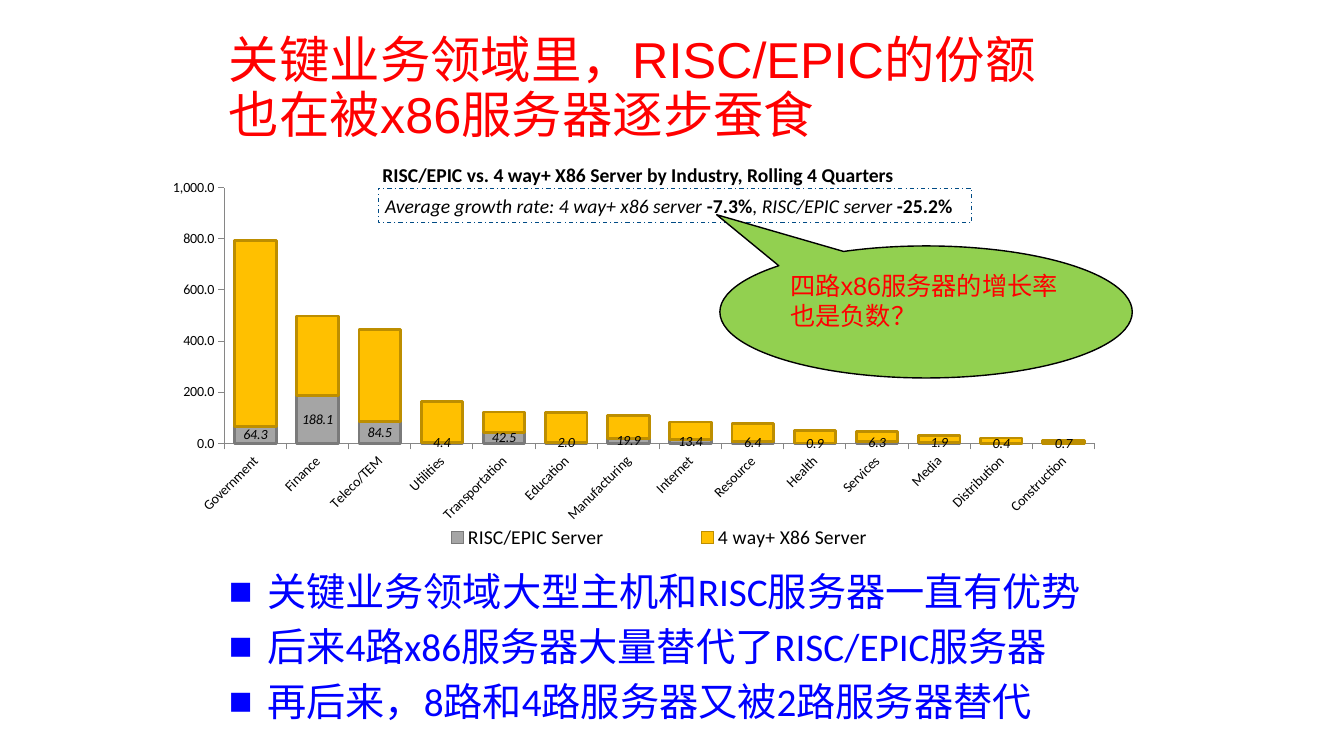
from lxml import etree
from pptx import Presentation
from pptx.chart.data import CategoryChartData
from pptx.dml.color import RGBColor
from pptx.enum.chart import XL_CHART_TYPE, XL_LABEL_POSITION, XL_LEGEND_POSITION, XL_TICK_MARK
from pptx.enum.dml import MSO_LINE
from pptx.enum.shapes import MSO_SHAPE
from pptx.enum.text import MSO_ANCHOR, MSO_AUTO_SIZE, PP_ALIGN
from pptx.oxml.ns import qn
from pptx.util import Inches, Pt

STACKED = XL_CHART_TYPE.COLUMN_STACKED
LEFT, CENTER = PP_ALIGN.LEFT, PP_ALIGN.CENTER
TOP, MIDDLE = MSO_ANCHOR.TOP, MSO_ANCHOR.MIDDLE
COLORS = {
    "red": "FF0000", "blue": "0000FF", "black": "000000", "green": "92D050",
    "navy": "004B85", "axis": "868686",
    "gray": "A5A5A5", "gray edge": "7A7A7A", "gold": "FFC000", "gold edge": "BD8E00",
}
INDUSTRIES = [
    "Government", "Finance", "Teleco/TEM", "Utilities", "Transportation", "Education",
    "Manufacturing", "Internet", "Resource", "Health", "Services", "Media",
    "Distribution", "Construction",
]
SERVERS = [
    ("RISC/EPIC Server", "gray",
     [64.3, 188.1, 84.5, 4.4, 42.5, 2, 19.9, 13.4, 6.4, 0.9, 6.3, 1.9, 0.4, 0.7]),
    ("4 way+ X86 Server", "gold",
     [730, 310, 360, 160, 80, 120, 90, 70, 70, 50, 40, 30, 20, 10]),
]
GROWTH = [
    ("Average growth rate: 4 way+ x86 server ", {"italic": True}),
    ("-7.3%", {"bold": True}),
    (", RISC/EPIC server ", {"italic": True}),
    ("-25.2%", {"bold": True}),
]
BULLETS = [
    "关键业务领域大型主机和RISC服务器一直有优势",
    "后来4路x86服务器大量替代了RISC/EPIC服务器",
    "再后来，8路和4路服务器又被2路服务器替代",
]


def color(name):
    return RGBColor.from_string(COLORS[name])


def place(shape, left, top, width, height):
    shape.left, shape.top = Inches(left), Inches(top)
    shape.width, shape.height = Inches(width), Inches(height)


def set_font(font, size, name="Calibri", color_name="black", bold=False, italic=False):
    font.size, font.name = Pt(size), name
    font.bold, font.italic = bold, italic
    font.color.rgb = color(color_name)


def set_line(line, color_name, width):
    line.color.rgb = color(color_name)
    line.width = Pt(width)


def write(shape, paragraphs, align=LEFT, anchor=TOP, indent=0, bullet=None,
          space_before=0, line_spacing=None, **font):
    """Fill a shape; each paragraph is a string or a list of (text, font changes)."""
    frame = shape.text_frame
    frame.word_wrap, frame.auto_size = True, MSO_AUTO_SIZE.NONE
    frame.vertical_anchor = anchor
    for index, content in enumerate(paragraphs):
        paragraph = frame.add_paragraph() if index else frame.paragraphs[0]
        paragraph.alignment = align
        paragraph.space_before = Pt(space_before if index else 0)
        if line_spacing:
            paragraph.line_spacing = line_spacing
        properties = paragraph._p.get_or_add_pPr()
        properties.set("marL", str(Inches(indent)))
        properties.set("indent", str(-Inches(indent)))
        if bullet:
            etree.SubElement(properties, qn("a:buFont")).set("typeface", "Arial")
            etree.SubElement(properties, qn("a:buChar")).set("char", bullet)
        pieces = [(content, {})] if isinstance(content, str) else content
        for text, changes in pieces:
            for number, line in enumerate(text.split("\n")):
                if number:
                    paragraph.add_line_break()
                run = paragraph.add_run()
                run.text = line
                set_font(run.font, **{**font, **changes})


def add_box(slide, kind, box, line_color, line_width, fill=None):
    shape = slide.shapes.add_shape(kind, *map(Inches, box))
    shape.shadow.inherit = False
    if fill:
        shape.fill.solid()
        shape.fill.fore_color.rgb = color(fill)
    else:
        shape.fill.background()
    set_line(shape.line, line_color, line_width)
    return shape


def set_layout(element, x, y, width, height, inner=False):
    """Fix the place of a chart part as fractions of the chart."""
    layout = element.find(qn("c:layout"))
    if layout is None:
        layout = etree.Element(qn("c:layout"))
        element.insert(1 if element.find(qn("c:legendPos")) is not None else 0, layout)
    manual = etree.SubElement(layout, qn("c:manualLayout"))
    settings = [("layoutTarget", "inner")] if inner else []
    settings += [("xMode", "edge"), ("yMode", "edge"),
                 ("x", x), ("y", y), ("w", width), ("h", height)]
    for tag, value in settings:
        etree.SubElement(manual, qn("c:" + tag)).set("val", str(value))


def format_axis(axis):
    axis.has_major_gridlines = False
    axis.major_tick_mark = XL_TICK_MARK.OUTSIDE
    axis.minor_tick_mark = XL_TICK_MARK.NONE
    set_line(axis.format.line, "axis", 0.75)
    set_font(axis.tick_labels.font, 10)


def add_server_chart(slide):
    data = CategoryChartData()
    data.categories = INDUSTRIES
    for name, _, values in SERVERS:
        data.add_series(name, values)
    box = map(Inches, (1.69, 1.04, 9.9, 4.57))
    chart = slide.shapes.add_chart(STACKED, *box, data).chart
    chart.has_title = False
    set_font(chart.font, 10)

    plot = chart.plots[0]
    plot.gap_width, plot.overlap, plot.vary_by_categories = 50, 100, False
    for series, (_, fill, _) in zip(plot.series, SERVERS):
        series.format.fill.solid()
        series.format.fill.fore_color.rgb = color(fill)
        set_line(series.format.line, fill + " edge", 2)
    labels = plot.series[0].data_labels
    labels.show_value = True
    labels.number_format, labels.number_format_is_linked = "#,##0.0", False
    labels.position = XL_LABEL_POSITION.CENTER
    set_font(labels.font, 10, italic=True)

    format_axis(chart.category_axis)
    chart.category_axis.tick_labels.font._element.getparent().getparent().getparent().find(
        qn("a:bodyPr")).set("rot", "-2700000")
    axis = chart.value_axis
    format_axis(axis)
    axis.minimum_scale, axis.maximum_scale, axis.major_unit = 0, 1000, 200
    axis.tick_labels.number_format = "#,##0.0"
    axis.tick_labels.number_format_is_linked = False

    chart.has_legend = True
    chart.legend.position = XL_LEGEND_POSITION.BOTTOM
    chart.legend.include_in_layout = False
    set_font(chart.legend.font, 14)
    set_layout(chart.legend._element, 0.19, 0.9, 0.6, 0.08)
    set_layout(chart._chartSpace.chart.plotArea, 0.054, 0.18, 0.872, 0.555, inner=True)


def main():
    presentation = Presentation()
    presentation.slide_width, presentation.slide_height = Inches(13.33), Inches(7.5)
    slide = presentation.slides.add_slide(presentation.slide_layouts[1])

    title, body = slide.shapes.title, slide.placeholders[1]
    place(title, 2.17, 0.39, 8.92, 1)
    write(title, ["关键业务领域里，RISC/EPIC的份额\n也在被x86服务器逐步蚕食"], anchor=MIDDLE,
          line_spacing=0.9, size=36, name="Arial", color_name="red")
    place(body, 2.17, 5.58, 8.94, 1.16)
    write(body, BULLETS, indent=0.38, bullet="■", space_before=5.6,
          size=28, color_name="blue")

    add_server_chart(slide)
    heading = slide.shapes.add_textbox(*map(Inches, (3.02, 1.57, 6.62, 0.34)))
    write(heading, ["RISC/EPIC vs. 4 way+ X86 Server by Industry, Rolling 4 Quarters"],
          align=CENTER, size=14, bold=True)

    growth = add_box(slide, MSO_SHAPE.RECTANGLE, (3.75, 1.87, 5.89, 0.34), "navy", 0.75)
    growth.line.dash_style = MSO_LINE.DASH_DOT
    growth.text_frame.margin_left = Inches(0.07)
    write(growth, [GROWTH], indent=0.23, size=14)

    callout = add_box(slide, MSO_SHAPE.OVAL_CALLOUT, (7.14, 2.44, 4.09, 1.31),
                      "black", 1, fill="green")
    callout.adjustments[0], callout.adjustments[1] = -0.508, -0.737
    write(callout, ["四路x86服务器的增长率也是负数？"], size=18, name="Arial", color_name="red")

    presentation.save("out.pptx")


if __name__ == "__main__":
    main()
